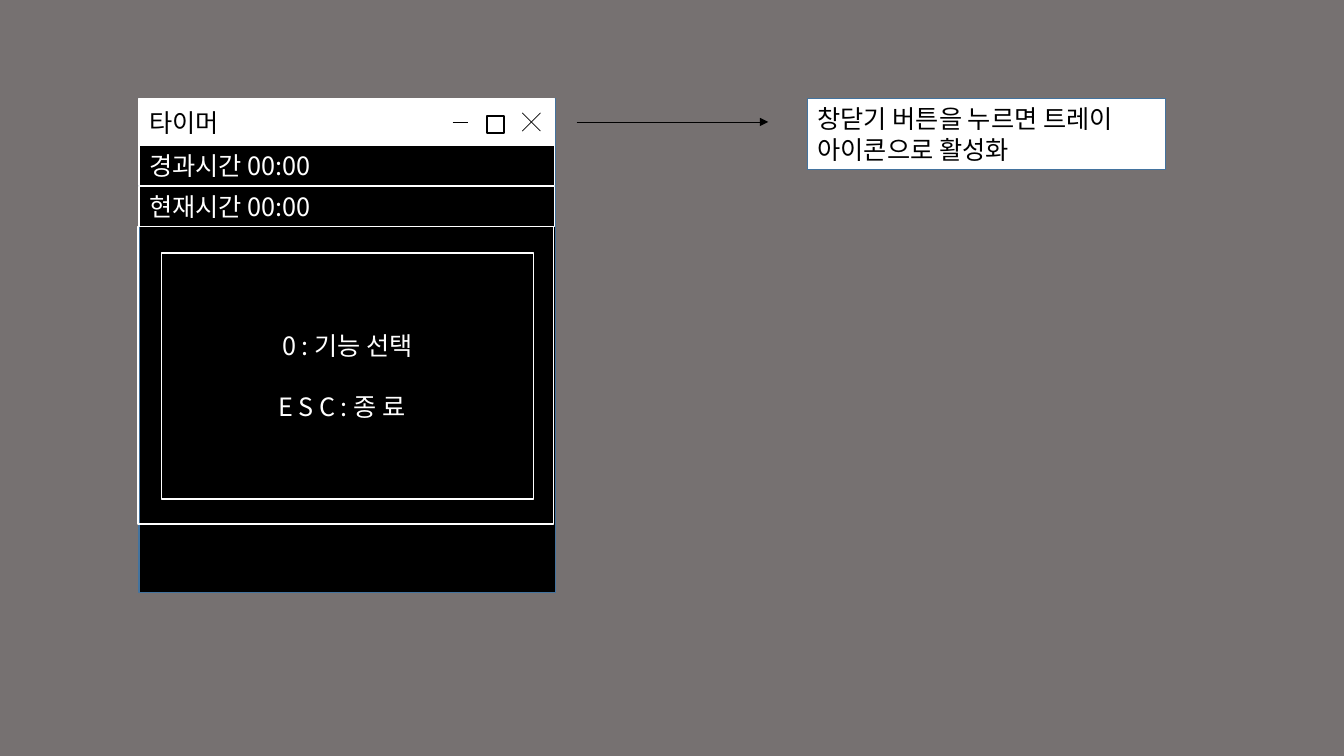
from dataclasses import dataclass

from lxml.etree import SubElement
from pptx import Presentation
from pptx.dml.color import RGBColor
from pptx.enum.shapes import MSO_CONNECTOR, MSO_SHAPE
from pptx.enum.text import MSO_ANCHOR, PP_ALIGN
from pptx.oxml.ns import qn
from pptx.util import Pt

EMU_PER_PX = 9144


@dataclass(frozen=True)
class Theme:
    font: str = "Noto Sans CJK KR"
    size: int = 18
    gap: int = 22
    outline: float = 1
    hairline: float = 0.5
    backdrop: str = "767171"
    black: str = "000000"
    white: str = "FFFFFF"
    blue: str = "43739E"


T = Theme()


def px(n):
    return n * EMU_PER_PX


def rgb(color):
    return RGBColor.from_string(color)


def paint(sp, fill, line):
    if fill:
        sp.fill.solid()
        sp.fill.fore_color.rgb = rgb(fill)
    else:
        sp.fill.background()
    sp.line.color.rgb = rgb(line)
    sp.line.width = Pt(T.outline)


def write(sp, text, color, align=PP_ALIGN.LEFT, anchor=MSO_ANCHOR.MIDDLE):
    tf = sp.text_frame
    tf.text = text
    tf.word_wrap = True
    tf.vertical_anchor = anchor
    for p in tf.paragraphs:
        p.alignment = align
        for r in p.runs:
            r.font.name = T.font
            r.font.size = Pt(T.size)
            r.font.color.rgb = rgb(color)
            SubElement(r.font._element, qn("a:ea"), typeface=T.font)
    return tf


def add_box(shapes, x, y, w, h, fill, line):
    sp = shapes.add_shape(MSO_SHAPE.RECTANGLE, px(x), px(y), px(w), px(h))
    sp.shadow.inherit = False
    paint(sp, fill, line)
    return sp


def add_line(shapes, x1, y1, x2, y2, arrow=False):
    cn = shapes.add_connector(MSO_CONNECTOR.STRAIGHT, px(x1), px(y1), px(x2), px(y2))
    cn.line.color.rgb = rgb(T.black)
    cn.line.width = Pt(T.hairline)
    if arrow:
        SubElement(cn.line._get_or_add_ln(), qn("a:tailEnd"), type="triangle")
    SubElement(cn._element.spPr, qn("a:effectLst"))
    return cn


def add_caption(s, text, x, y, w, h):
    title = s.shapes.title
    title.left, title.top, title.width, title.height = px(x), px(y), px(w), px(h)
    paint(title, T.white, T.white)
    write(title, text, T.black)
    s.shapes._spTree.append(title._element)


def add_window_buttons(s):
    shapes = s.shapes.add_group_shape().shapes
    left, top, right, bottom = 518, 112, 536, 130
    add_line(shapes, left, top, right, bottom)
    add_line(shapes, right, top, left, bottom)
    add_box(shapes, 483, 115, 17, 17, None, T.black)
    add_line(shapes, 449, 121, 464, 121)


def add_menu(s, items, x, y, w, h):
    sp = add_box(s.shapes, x, y, w, h, T.black, T.white)
    tf = write(sp, "\n".join(items), T.white, PP_ALIGN.CENTER)
    last = tf.paragraphs[-1]
    last.space_before = Pt(T.gap)
    last._p.get_or_add_pPr().set("marR", str(px(11)))


def main():
    prs = Presentation()
    prs.slide_width, prs.slide_height = px(1333), px(750)
    s = prs.slides.add_slide(prs.slide_layouts[5])
    s.background.fill.solid()
    s.background.fill.fore_color.rgb = rgb(T.backdrop)

    add_box(s.shapes, 138, 98, 413, 490, T.black, T.blue)
    for i, text in enumerate(["경과시간 00:00", "현재시간 00:00"]):
        row = add_box(s.shapes, 138, 144 + 41 * i, 412, 40, None, T.white)
        write(row, text, T.white)
    add_box(s.shapes, 137, 225, 412, 295, None, T.white)
    add_caption(s, "타이머", 138, 98, 412, 46)
    add_menu(s, ["0 : 기능 선택", "E S C : 종 료"], 160, 251, 369, 244)
    add_window_buttons(s)

    add_line(s.shapes, 572, 121, 762, 121, arrow=True)
    note = add_box(s.shapes, 801, 98, 355, 70, T.white, T.blue)
    write(note, "창닫기 버튼을 누르면 트레이 아이콘으로 활성화", T.black, anchor=MSO_ANCHOR.TOP)

    prs.save("out.pptx")


if __name__ == "__main__":
    main()
